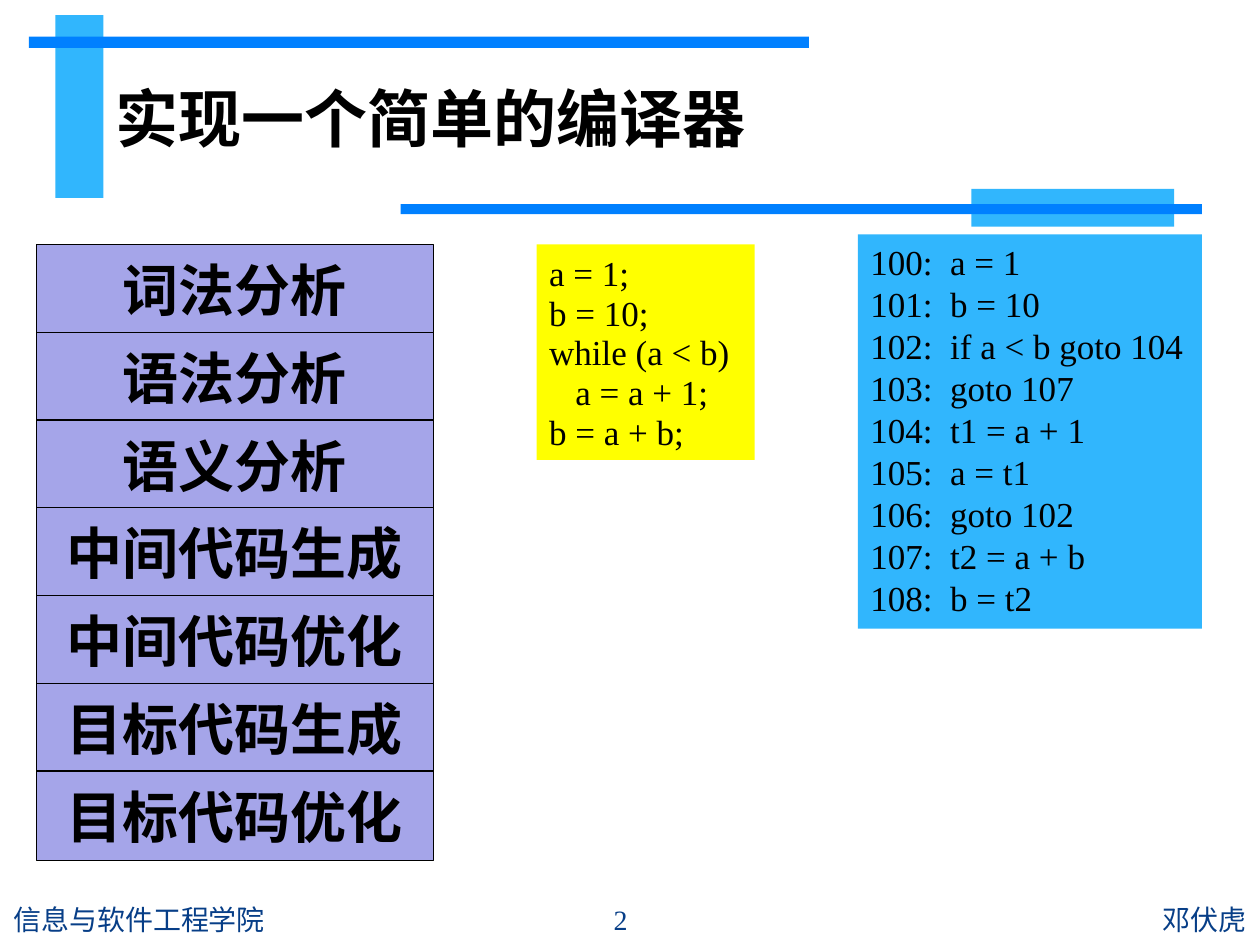
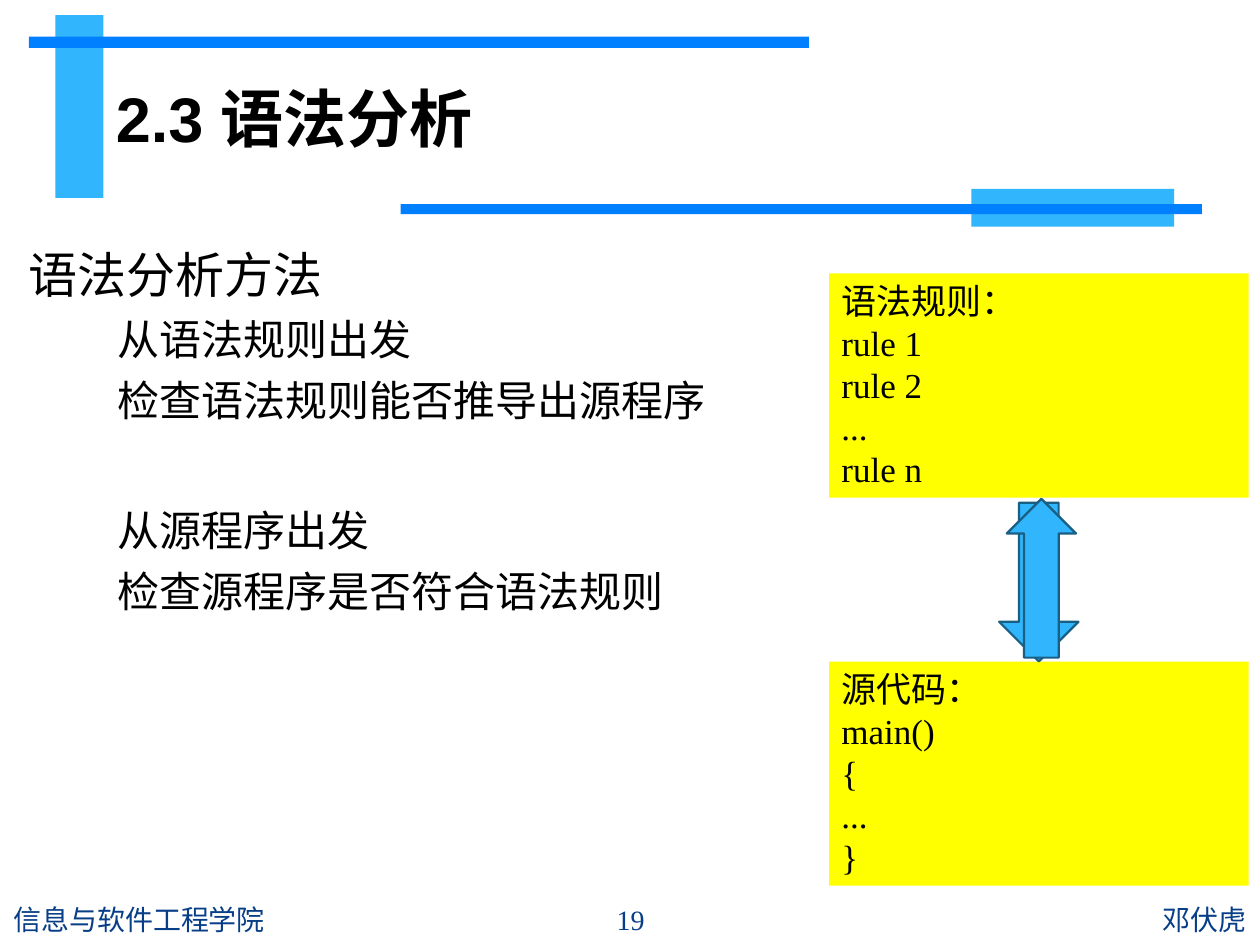
"""Build two lecture slides about a simple compiler and syntax analysis."""
from lxml import etree
from pptx import Presentation
from pptx.dml.color import RGBColor
from pptx.enum.shapes import MSO_SHAPE
from pptx.enum.text import MSO_ANCHOR, MSO_AUTO_SIZE, PP_ALIGN
from pptx.oxml.ns import qn
from pptx.util import Inches, Pt

RECT, DOWN, UP = MSO_SHAPE.RECTANGLE, MSO_SHAPE.DOWN_ARROW, MSO_SHAPE.UP_ARROW
LEFT, CENTER, RIGHT = PP_ALIGN.LEFT, PP_ALIGN.CENTER, PP_ALIGN.RIGHT
TOP, MIDDLE = MSO_ANCHOR.TOP, MSO_ANCHOR.MIDDLE
NO_FIT = MSO_AUTO_SIZE.NONE

COLORS = {
    "sky": "31B6FD", "blue": "0080FF", "navy": "073E87", "black": "000000",
    "lilac": "A5A5E9", "yellow": "FFFF00", "edge": "195F84",
}
CJK, SERIF = "Noto Sans CJK SC", "Times New Roman"
BANDS = [
    ("sky", (0.44, 0.12, 0.38, 1.45)),
    ("blue", (0.23, 0.29, 6.19, 0.09)),
    ("sky", (7.71, 1.5, 1.61, 0.3)),
    ("blue", (3.18, 1.62, 6.36, 0.08)),
]
STEPS = ["词法分析", "语法分析", "语义分析", "中间代码生成",
         "中间代码优化", "目标代码生成", "目标代码优化"]
SOURCE = ["a = 1;", "b = 10;", "while (a < b)", "   a = a + 1;", "b = a + b;"]
THREE_ADDRESS = [
    "100:  a = 1", "101:  b = 10", "102:  if a < b goto 104",
    "103:  goto 107", "104:  t1 = a + 1", "105:  a = t1",
    "106:  goto 102", "107:  t2 = a + b", "108:  b = t2",
]
RULES = ["语法规则：", "rule 1", "rule 2", "...", "rule n"]
PROGRAM = ["源代码：", "main()", "{", "...", "}"]
METHODS = [
    ("语法分析方法", 28, -0.35, 0),
    ("从语法规则出发", 24, 0.35, 0),
    ("检查语法规则能否推导出源程序", 24, 0.35, 0),
    ("从源程序出发", 24, 0.35, 40),
    ("检查源程序是否符合语法规则", 24, 0.35, 0),
]


def rgb(name):
    """Return the named colour."""
    return RGBColor.from_string(COLORS[name])


def place(sp, box):
    """Move and size a shape, in inches."""
    sp.left, sp.top, sp.width, sp.height = map(Inches, box)


def add_run(p, text, size, font, color="black", bold=False):
    """Add one formatted run to a paragraph."""
    r = p.add_run()
    r.text = text
    r.font.size, r.font.name, r.font.bold = Pt(size), font, bold
    r.font.color.rgb = rgb(color)
    etree.SubElement(r._r.get_or_add_rPr(), qn("a:ea"), typeface=CJK)


def add_block(s, box, fill, line=None, width=0.75, kind=RECT):
    """Add a filled preset shape, outlined if a line colour is given."""
    sp = s.shapes.add_shape(kind, *map(Inches, box))
    sp.shadow.inherit = False
    sp.fill.solid()
    sp.fill.fore_color.rgb = rgb(fill)
    if line:
        sp.line.color.rgb = rgb(line)
        sp.line.width = Pt(width)
    else:
        sp.line.fill.background()
    return sp


def add_code(s, box, fill, lines, spacing=24, inset=0.05):
    """Add a coloured panel with lines of code."""
    tf = add_block(s, box, fill).text_frame
    tf.word_wrap, tf.vertical_anchor = False, TOP
    tf.margin_top = Inches(inset)
    for i, text in enumerate(lines):
        p = tf.add_paragraph() if i else tf.paragraphs[0]
        p.alignment, p.line_spacing = LEFT, Pt(spacing)
        add_run(p, text, 20, SERIF)


def add_footer(s, box, text, align, font="Calibri"):
    """Add one footer text."""
    tf = s.shapes.add_textbox(*map(Inches, box)).text_frame
    tf.word_wrap, tf.vertical_anchor = True, MIDDLE
    p = tf.paragraphs[0]
    p.alignment = align
    add_run(p, text, 16, font, "navy")


def add_slide(prs, layout, title, number, number_left):
    """Add a slide with the shared bands, title and footers."""
    s = prs.slides.add_slide(prs.slide_layouts[layout])
    for fill, box in BANDS:
        add_block(s, box, fill)
    place(s.shapes.title, (0.82, 0.36, 8.7, 1.14))
    tf = s.shapes.title.text_frame
    tf.vertical_anchor, tf.auto_size = MIDDLE, NO_FIT
    p = tf.paragraphs[0]
    p.alignment = LEFT
    add_run(p, title, 36, "Arial", bold=True)
    add_footer(s, (5.55, 7.1, 4.44, 0.4), "邓伏虎", RIGHT)
    add_footer(s, (0.01, 7.1, 4.25, 0.4), "信息与软件工程学院", LEFT)
    add_footer(s, (number_left, 7.1, 1.27, 0.4), number, CENTER, SERIF)
    return s


def add_steps(s, first_top, last_top):
    """Stack the compiler phases at equal distances."""
    pitch = (last_top - first_top) / (len(STEPS) - 1)
    for i, text in enumerate(STEPS):
        box = (0.29, first_top + i * pitch, 3.15, 0.71)
        tf = add_block(s, box, "lilac", "black").text_frame
        tf.vertical_anchor, tf.word_wrap = MIDDLE, False
        p = tf.paragraphs[0]
        p.alignment = CENTER
        add_run(p, text, 32, CJK, bold=True)


def fill_body(s):
    """Write the list of analysis methods without bullets."""
    body = s.placeholders[1]
    place(body, (0.01, 1.8, 9.99, 5.3))
    tf = body.text_frame
    tf.auto_size = NO_FIT
    for i, (text, size, indent, before) in enumerate(METHODS):
        p = tf.add_paragraph() if i else tf.paragraphs[0]
        pPr = p._p.get_or_add_pPr()
        pPr.set("marL", str(Inches(0.47)))
        pPr.set("indent", str(Inches(indent)))
        etree.SubElement(pPr, qn("a:buNone"))
        p.line_spacing, p.space_before = Pt(size * 1.44), Pt(before)
        add_run(p, text, size, CJK)


def main():
    """Build and save the slides."""
    prs = Presentation()
    prs.slide_width, prs.slide_height = Inches(10), Inches(7.5)

    s = add_slide(prs, 5, "实现一个简单的编译器", "2", 4.29)
    add_steps(s, 1.94, 6.12)
    add_code(s, (4.26, 1.94, 1.73, 1.71), "yellow", SOURCE, 22.8, 0.07)
    add_code(s, (6.81, 1.86, 2.73, 3.13), "sky", THREE_ADDRESS)

    s = add_slide(prs, 1, "2.3 语法分析", "19", 4.37)
    fill_body(s)
    for top, lines in ((2.17, RULES), (5.25, PROGRAM)):
        add_code(s, (6.58, top, 3.33, 1.78), "yellow", lines)
    add_block(s, (7.93, 3.99, 0.63, 1.26), "sky", "edge", 1.25, DOWN)
    add_block(s, (7.99, 3.96, 0.55, 1.26), "sky", "edge", 1.25, UP)

    prs.save("out.pptx")


if __name__ == "__main__":
    main()
